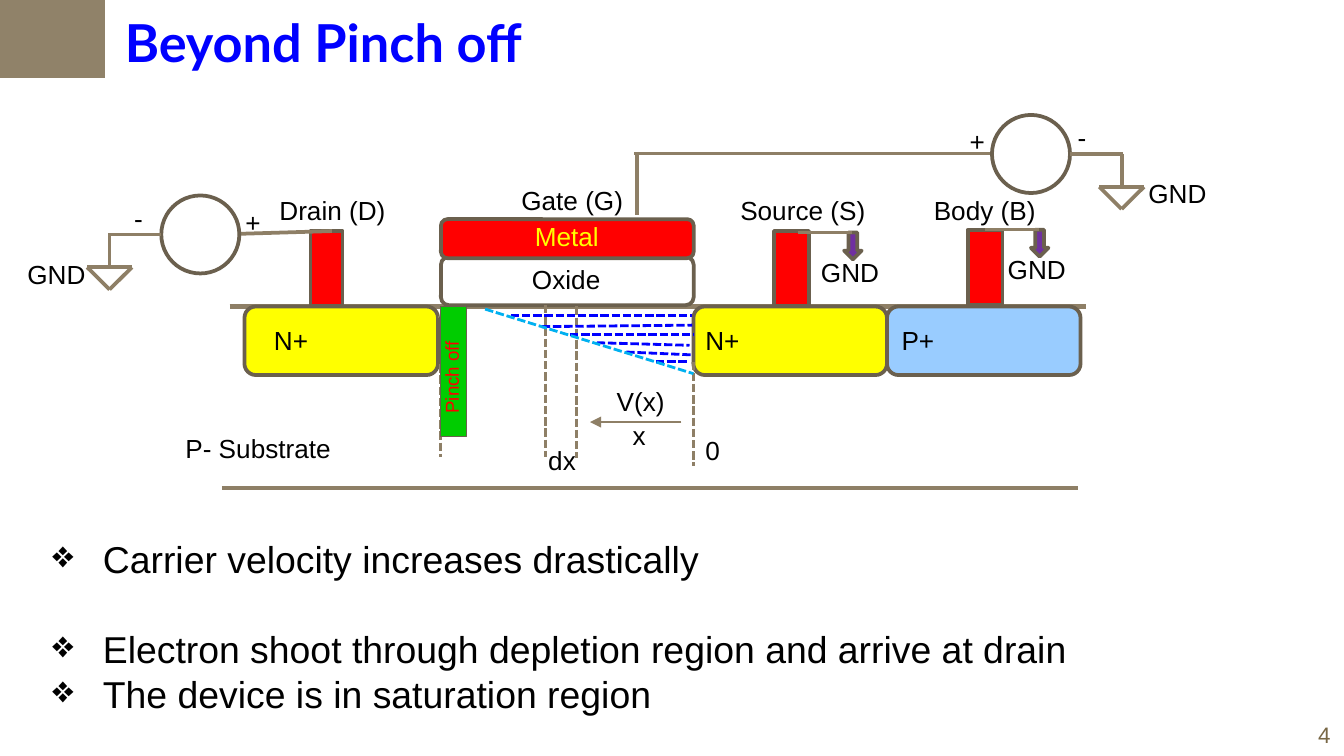
from lxml.etree import SubElement
from pptx import Presentation
from pptx.dml.color import RGBColor
from pptx.enum.dml import MSO_LINE
from pptx.enum.shapes import MSO_CONNECTOR, MSO_SHAPE
from pptx.oxml.ns import qn
from pptx.util import Pt

HUE = {
    "ink": "000000", "title": "0000FF", "band": "908269", "page": "786745",
    "edge": "6B604E", "wire": "8E7F66", "red": "FF0000", "yellow": "FFFF00",
    "body": "99CCFF", "tie": "7030A0", "charge": "0000FF", "front": "00B0F0",
    "pinch": "00CC00",
}


def color(name):
    return RGBColor.from_string(HUE[name])


def label(slide, text, x, y, w, h=24.5, size=14, hue="ink", face="Arial", bold=False):
    box = slide.shapes.add_textbox(Pt(x), Pt(y), Pt(w), Pt(h))
    frame = box.text_frame
    frame.word_wrap = False
    frame.text = text
    font = frame.paragraphs[0].runs[0].font
    font.size, font.name, font.bold = Pt(size), face, bold
    font.color.rgb = color(hue)
    return box


def block(slide, kind, x, y, w, h, fill=None, edge="edge", width=2):
    item = slide.shapes.add_shape(kind, Pt(x), Pt(y), Pt(w), Pt(h))
    item.shadow.inherit = False
    if fill:
        item.fill.solid()
        item.fill.fore_color.rgb = color(fill)
    else:
        item.fill.background()
    if edge:
        item.line.color.rgb = color(edge)
        item.line.width = Pt(width)
    else:
        item.line.fill.background()
    return item


def wire(slide, x1, y1, x2, y2, hue="wire", width=2, dash=False, arrow=False):
    line = slide.shapes.add_connector(
        MSO_CONNECTOR.STRAIGHT, Pt(x1), Pt(y1), Pt(x2), Pt(y2))
    line.line.color.rgb = color(hue)
    line.line.width = Pt(width)
    if dash:
        line.line.dash_style = MSO_LINE.SQUARE_DOT
    if arrow:
        SubElement(line.line._get_or_add_ln(), qn("a:tailEnd"), type="triangle")
    SubElement(line._element.spPr, qn("a:effectLst"))


def header(slide, x, y):
    block(slide, MSO_SHAPE.RECTANGLE, x, y - 1.4, 56.2, 43.2, "band", None)
    label(slide, "Beyond Pinch off", x + 59.8, y + 2.2, 245.5, 41, 28, "title", "Lato", True)


def device(slide, x, y):
    # Surface and bottom of the substrate
    wire(slide, x + 3.1, y + 69.2, x + 461.8, y + 69.2, width=2.25)
    wire(slide, x - 1.2, y + 166.4, x + 457.4, y + 166.4, width=2.25)
    label(slide, "P- Substrate", x - 27.8, y + 133.2, 92.9)

    # Doped wells
    for name, left, fill, inset in (
            ("N+", 11, "yellow", 8.7), ("N+", 251.5, "yellow", -0.7),
            ("P+", 355.2, "body", 0.7)):
        block(slide, MSO_SHAPE.ROUNDED_RECTANGLE, x + left, y + 69.2, 103.7, 36.7, fill)
        label(slide, name, x + left + inset, y + 75, 33)

    # Gate stack
    block(slide, MSO_SHAPE.ROUNDED_RECTANGLE, x + 116.2, y + 42.5, 135.4, 26)
    block(slide, MSO_SHAPE.ROUNDED_RECTANGLE, x + 116.2, y + 22.4, 135.4, 20.9, "red")
    label(slide, "Oxide", x + 157.9, y + 42.5, 51.1)
    label(slide, "Metal", x + 159.4, y + 19.5, 49, hue="yellow")
    label(slide, "Gate (G)", x + 152.2, y, 69.1)

    # Contacts
    for name, left, top, wide, lead, span in (
            ("Drain (D)", 46.3, 28.8, 17.3, 23.7, 72),
            ("Source (S)", 294.7, 28.8, 18.7, 25.2, 82.1),
            ("Body (B)", 398.4, 28.1, 18.7, 25.2, 69.1)):
        block(slide, MSO_SHAPE.RECTANGLE, x + left, y + top, wide, 40, "red")
        label(slide, name, x + left - lead, y + 5.5, span)
    for left, top in ((307.7, 29.6), (407.8, 28.1)):
        tie(slide, x + left, y + top)


def tie(slide, x, y):
    block(slide, MSO_SHAPE.DOWN_ARROW, x + 24.5, y, 9.4, 14.4, "tie")
    wire(slide, x, y, x + 28.8, y, width=1.5)
    label(slide, "GND", x + 5, y + 9, 46.1)


def channel(slide, x, y):
    # Limits of the channel and of the slice dx
    for left, top, low in ((0, 30.9, 80.6), (135.4, 29.5, 85.6),
                           (56.1, -0.8, 80.6), (72.7, 0, 81.3)):
        wire(slide, x + left, y + top, x + left, y + low, width=1.5, dash=True)
    wire(slide, x - 0.8, y + 5.7, x - 1.5, y + 5.7, width=0.75)

    # Inversion charge under its sloping front
    for x1, y1, x2, y2 in (
            (37.4, 5, 134.6, 5), (54, 10.8, 134.6, 10), (69.1, 15.1, 135.3, 15.1),
            (83.5, 19.4, 133.2, 20.8), (99.3, 24.4, 133.9, 25.9),
            (115.2, 29.5, 133.2, 29.5)):
        wire(slide, x + x1, y + y1, x + x2, y + y2, "charge", 1.5, True)
    wire(slide, x + 23.7, y + 1.4, x + 135.3, y + 36, "front", 1.5, True)

    # Axis
    wire(slide, x + 128.8, y + 61.9, x + 79.9, y + 61.9, width=0.75, arrow=True)
    for text, left, top, wide in (("0", 134.6, 64.8, 22.3), ("dx", 50.4, 70.5, 29.5),
                                  ("x", 95.7, 56.8, 21.6), ("V(x)", 87.1, 38.8, 40.3)):
        label(slide, text, x + left, y + top, wide)

    # Pinched part
    block(slide, MSO_SHAPE.RECTANGLE, x, y, 13.7, 69.8, "pinch", width=0.5)
    note = label(slide, "Pinch off", x - 20.9, y + 28, 53.3, 19.4, 10, "red")
    note.rotation = 270


def supply(slide, x, y, side, minus, ground):
    """Voltage source centred on x, y; side is 1 with ground on the right, else -1."""
    block(slide, MSO_SHAPE.OVAL, x - 20.9, y - 20.9, 41.8, 41.8)
    wire(slide, x + side * 20.9, y, x + side * 49.4, y)
    label(slide, "+", x - side * 28.5 - 11.5, y - 18.7, 23)
    label(slide, "-", x + side * minus - 9.7, y - 20.9, 19.4)

    # Ground symbol
    mid, bar = x + side * 48.6, y + 17.6
    wire(slide, mid, y, mid, bar)
    wire(slide, mid - 12, bar, mid + 12, bar)
    for end in (mid - 12, mid + 12):
        wire(slide, end, bar, mid, bar + 11.9)
    label(slide, "GND", mid + ground, y + 9.2, 46.1)


def notes(slide, x, y, w, h):
    lines = ("Carrier velocity increases drastically",
             "Electron shoot through depletion region and arrive at drain",
             "The device is in saturation region")
    frame = slide.shapes.add_textbox(Pt(x), Pt(y), Pt(w), Pt(h)).text_frame
    frame.word_wrap = False
    frame.margin_left = frame.margin_right = frame.margin_top = frame.margin_bottom = 0
    for i, text in enumerate(lines):
        para = frame.add_paragraph() if i else frame.paragraphs[0]
        para.text = text
        props = para._p.get_or_add_pPr()
        props.set("marL", str(Pt(27)))
        props.set("indent", str(Pt(-27)))
        SubElement(props, qn("a:buChar"), char="❖")
        if i == 1:
            para.space_before = Pt(24)
        font = para.runs[0].font
        font.size, font.name = Pt(20), "Arial"
        font.color.rgb = color("ink")


def main():
    deck = Presentation()
    deck.slide_width, deck.slide_height = Pt(720), Pt(405)
    slide = deck.slides.add_slide(deck.slide_layouts[6])

    header(slide, 0, 0)
    device(slide, 120, 95)
    # Gate and drain supplies with their leads
    wire(slide, 341.3, 81.4, 341.3, 115.2)
    wire(slide, 531.4, 82.3, 339.8, 82.3)
    supply(slide, 552.3, 82.5, 1, 27.6, 7.2)
    wire(slide, 177.8, 123.8, 127.4, 125.3)
    supply(slide, 107.3, 125.6, -1, 32.8, -51.1)
    channel(slide, 236.2, 164.2)
    notes(slide, 28.1, 287.3, 553, 97.2)
    label(slide, "4", 699.1, 383, 20.9, 21.6, 12, "page")
    deck.save("out.pptx")


if __name__ == "__main__":
    main()
